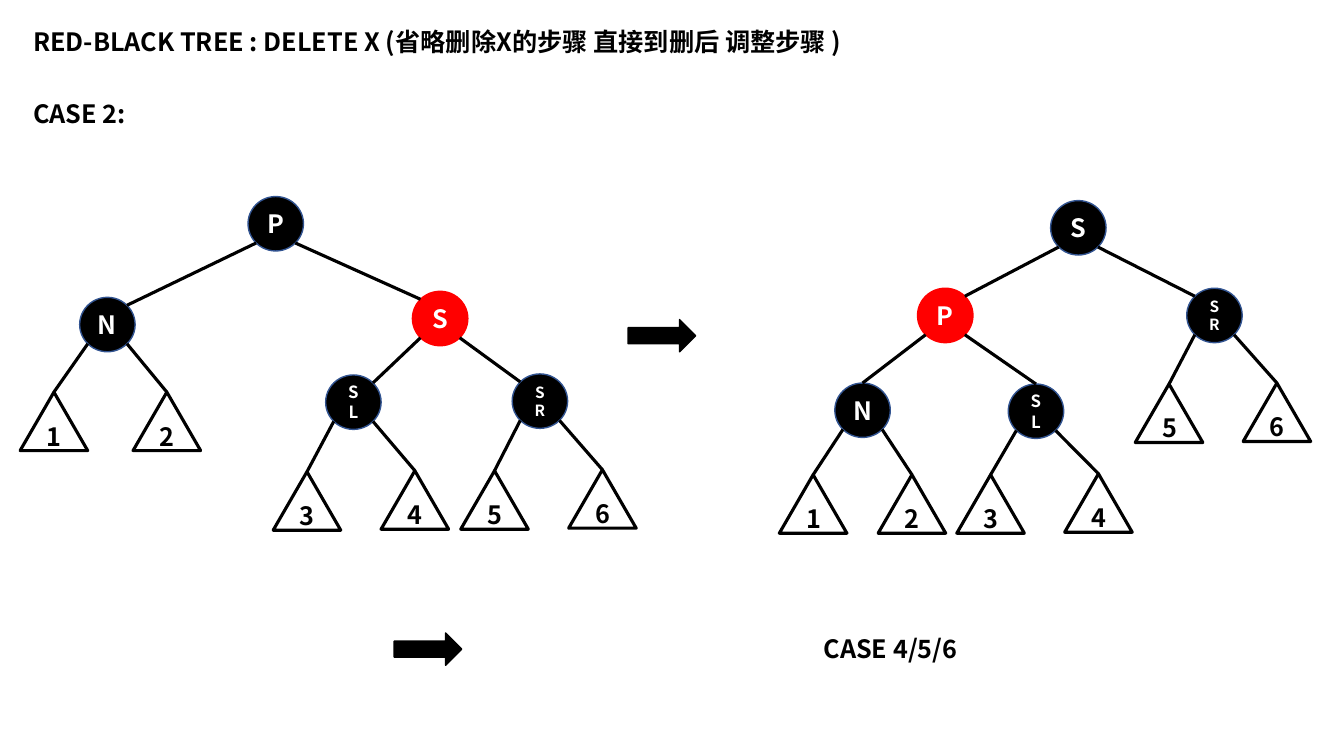
from math import sqrt
from lxml import etree
from pptx import Presentation
from pptx.dml.color import RGBColor
from pptx.enum.shapes import MSO_CONNECTOR as CONN, MSO_SHAPE as SHAPE
from pptx.enum.text import MSO_ANCHOR as ANCHOR, MSO_AUTO_SIZE as AUTO, PP_ALIGN as ALIGN
from pptx.oxml.ns import qn
from pptx.util import Inches, Pt

FONT = "Noto Sans CJK SC"
BLACK, WHITE, RED, BLUE = "000000", "FFFFFF", "FF0000", "325491"
NODE_W, NODE_H = 0.55, 0.54
LEAF_W, LEAF_H = 0.67, 0.58


def paint(fmt, color):
    fill = getattr(fmt, "fill", fmt)
    fill.solid()
    fill.fore_color.rgb = RGBColor.from_string(color)


def write(sp, text, size=18, color=BLACK, align=ALIGN.LEFT, anchor=ANCHOR.TOP, fit=AUTO.NONE):
    tf = sp.text_frame
    tf.word_wrap, tf.auto_size, tf.vertical_anchor = True, fit, anchor
    p = tf.paragraphs[0]
    p.alignment = align
    r = p.add_run()
    r.text = text
    r.font.name, r.font.size, r.font.bold = FONT, Pt(size), True
    paint(r.font, color)
    etree.SubElement(r._r.get_or_add_rPr(), qn("a:ea"), typeface=FONT)


prs = Presentation()
prs.slide_width, prs.slide_height = Inches(13.33), Inches(7.5)
s = prs.slides.add_slide(prs.slide_layouts[5])

title = s.shapes.title
title.left, title.top, title.width, title.height = [Inches(v) for v in (0.23, 0.21, 8.32, 0.4)]
write(title, "RED-BLACK TREE : DELETE X (省略删除X的步骤 直接到删后 调整步骤 )", fit=AUTO.SHAPE_TO_FIT_TEXT)

for text, x, y, w in [("CASE 2:", 0.23, 0.93, 1.4), ("CASE 4/5/6", 8.07, 6.23, 2.7)]:
    box = s.shapes.add_textbox(Inches(x), Inches(y), Inches(w), Inches(0.4))
    write(box, text, fit=AUTO.SHAPE_TO_FIT_TEXT)

for x, y in [(6.23, 3.17), (3.91, 6.28)]:
    arrow = s.shapes.add_shape(SHAPE.RIGHT_ARROW, Inches(x), Inches(y), Inches(0.67), Inches(0.32))
    arrow.shadow.inherit = False
    paint(arrow, BLACK)
    paint(arrow.line, BLACK)
    arrow.line.width = Pt(1)

# label, parent, left, top
before = [
    ("P", None, 2.46, 1.95), ("N", "P", 0.79, 2.95), ("S", "P", 4.09, 2.89),
    ("SL", "S", 3.23, 3.72), ("SR", "S", 5.08, 3.71),
    ("1", "N", 0.2, 3.89), ("2", "N", 1.32, 3.89), ("3", "SL", 2.71, 4.68),
    ("4", "SL", 3.78, 4.67), ("5", "SR", 4.57, 4.67), ("6", "SR", 5.64, 4.66),
]
after = [
    ("S", None, 10.42, 1.99), ("P", "S", 9.1, 2.86), ("SR", "S", 11.77, 2.86),
    ("N", "P", 8.28, 3.8), ("SL", "P", 10, 3.81),
    ("1", "N", 7.73, 4.71), ("2", "N", 8.71, 4.71), ("3", "SL", 9.49, 4.71),
    ("4", "SL", 10.56, 4.7), ("5", "SR", 11.26, 3.81), ("6", "SR", 12.33, 3.8),
]
label_size = {"SL": 12, "SR": 11}
dx, dy = NODE_W / 2 / sqrt(2), NODE_H / 2 / sqrt(2)

for tree, red, joined_on_top in [(before, "S", ()), (after, "P", ("N", "SL"))]:
    centers = {}
    for label, parent, x, y in tree:
        leaf = label.isdigit()
        w, h = (LEAF_W, LEAF_H) if leaf else (NODE_W, NODE_H)
        kind = SHAPE.ISOSCELES_TRIANGLE if leaf else SHAPE.OVAL
        sp = s.shapes.add_shape(kind, Inches(x), Inches(y), Inches(w), Inches(h))
        sp.shadow.inherit = False
        if leaf:
            sp.fill.background()
            paint(sp.line, BLACK)
        else:
            paint(sp, RED if label == red else BLACK)
            paint(sp.line, RED if label == red else BLUE)
        sp.line.width = Pt(2.25 if leaf else 1)
        write(sp, label, size=label_size.get(label, 18), color=BLACK if leaf else WHITE,
              align=ALIGN.CENTER, anchor=ANCHOR.MIDDLE)
        cx, cy = centers[label] = x + w / 2, y + h / 2
        if parent is None:
            continue

        px, py = centers[parent]
        side = 1 if cx > px else -1
        edge = s.shapes.add_connector(CONN.STRAIGHT, Inches(px + side * dx), Inches(py + dy),
                                      Inches(cx - side * dx), Inches(cy - dy))
        if leaf or label in joined_on_top:
            edge.end_connect(sp, 0)
        paint(edge.line, BLACK)
        edge.line.width = Pt(2.25)
        etree.SubElement(edge._element.spPr, qn("a:effectLst"))

prs.save("out.pptx")
